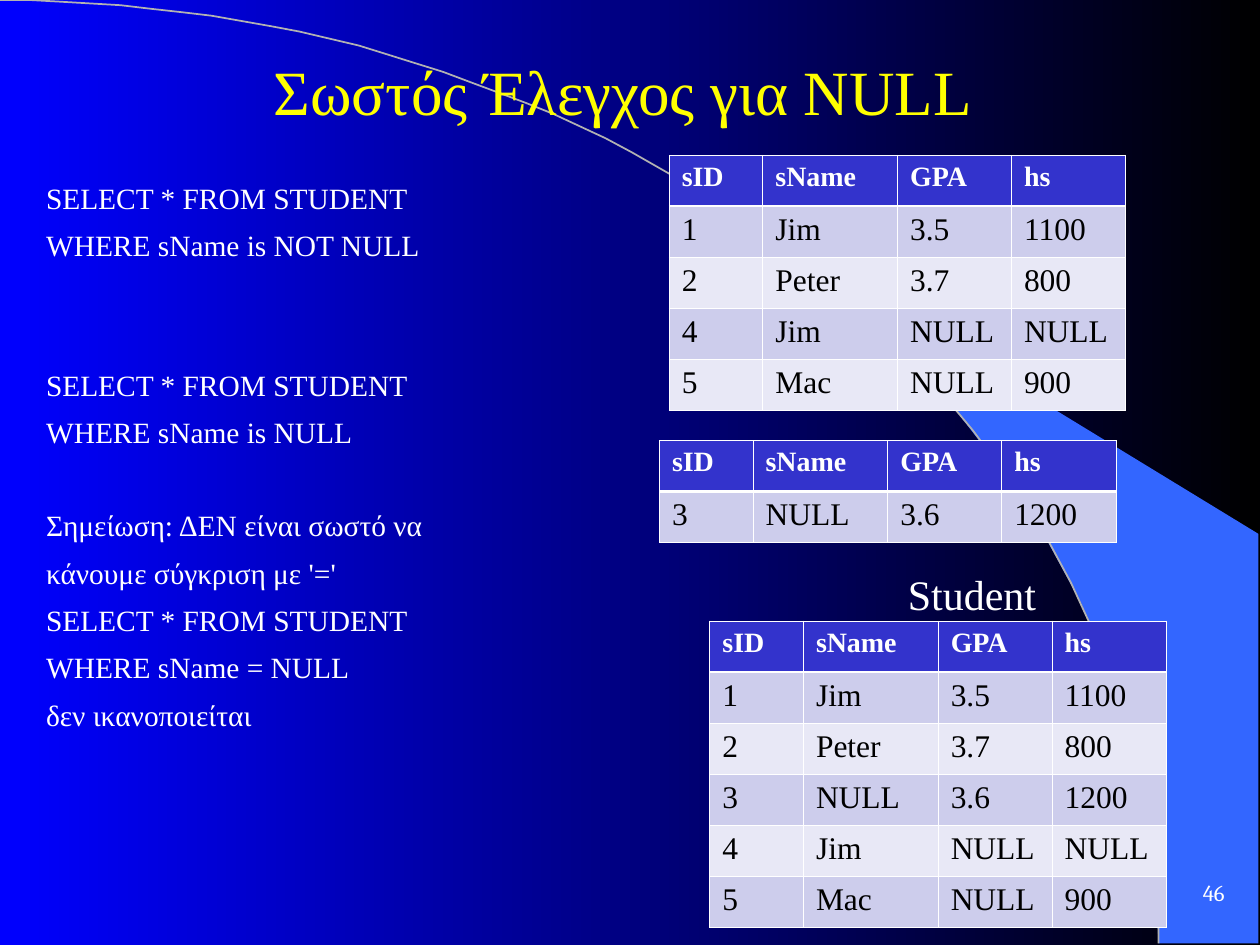
import math
from dataclasses import dataclass
from lxml import etree
from pptx import Presentation
from pptx import util as u
from pptx.dml.color import RGBColor
from pptx.enum import text
from pptx.oxml.ns import qn

# Content
TITLE = "Σωστός Έλεγχος για NULL"
PAGE = "46"
# (blank lines left above the block, its lines)
NOTES = [
    (0, ["SELECT * FROM STUDENT", "WHERE sName is NOT NULL"]),
    (2, ["SELECT * FROM STUDENT", "WHERE sName is NULL"]),
    (1, ["Σημείωση: ΔΕΝ είναι σωστό να", "κάνουμε σύγκριση με '='",
         "SELECT * FROM STUDENT", "WHERE sName = NULL", "δεν ικανοποιείται"]),
]
HEADER = ("sID", "sName", "GPA", "hs")
STUDENTS = [
    ("1", "Jim", "3.5", "1100"),
    ("2", "Peter", "3.7", "800"),
    ("3", "NULL", "3.6", "1200"),
    ("4", "Jim", "NULL", "NULL"),
    ("5", "Mac", "NULL", "900"),
]
NAMED = [row for row in STUDENTS if row[1] != "NULL"]
UNNAMED = [row for row in STUDENTS if row[1] == "NULL"]
# (left, top, rows)
TABLES = [(405.6, 354.9, STUDENTS), (382.4, 88.7, NAMED), (376.8, 251.7, UNNAMED)]


@dataclass(frozen=True)
class Theme:
    font: str = "Times New Roman"
    page_font: str = "Cambria"
    bg: tuple = ("0000FF", "000000")
    wedge: str = "3366FF"
    arc: str = "B2B2B2"
    title: str = "FFFF00"
    light: str = "FFFFFF"
    dark: str = "000000"
    header: str = "3333CC"
    bands: tuple = ("CDCDEC", "E8E8F6")
    title_size: float = 36
    label_size: float = 24
    note_size: float = 16.8
    cell_size: float = 18
    header_size: float = 16
    page_size: float = 13


T = Theme()
COLS = (53.5, 77, 65.1, 65.3)
ROW_H = 29.15
LINE_GAP, LINE_PITCH = 6.9, 26.2
ARC_W, ARC_H, ARC_STEPS = 662.4, 539.3, 60
WEDGE = [(662.4, 538.6), (719.3, 539.3), (719.3, 304.6), (424.1, 124.6),
         (449.3, 143.3), (470.2, 159.8), (493.2, 180), (515.5, 201.6),
         (548.6, 237.6), (578.2, 276.5), (599, 310.3), (617.8, 344.9),
         (632.2, 380.2), (643, 411.8), (650.2, 438.5), (657.4, 472.3),
         (660.2, 501.1)]


def rgb(value):
    return RGBColor.from_string(value)


def style(p, size, color, font=T.font, bold=False):
    p.font.size, p.font.name, p.font.bold = u.Pt(size), font, bold
    p.font.color.rgb = rgb(color)


def add_text(s, box, lines, size, color, align, font=T.font,
             anchor=text.MSO_ANCHOR.TOP):
    """lines holds (space before, wording) pairs."""
    tf = s.shapes.add_textbox(*map(u.Pt, box)).text_frame
    tf.word_wrap = True
    tf.vertical_anchor = anchor
    tf.margin_left = tf.margin_right = u.Pt(6.5)
    tf.margin_top = tf.margin_bottom = u.Pt(3.6)
    for i, (gap, line) in enumerate(lines):
        p = tf.add_paragraph() if i else tf.paragraphs[0]
        p.text, p.alignment, p.space_before = line, align, u.Pt(gap)
        style(p, size, color, font)


def add_outline(s, points, close):
    fb = s.shapes.build_freeform(*points[0], scale=u.Pt(1))
    fb.add_line_segments(points[1:], close=close)
    sp = fb.convert_to_shape()
    sp.shadow.inherit = False
    return sp


def set_borders(cell, top, bottom):
    tc_pr = cell._tc.get_or_add_tcPr()
    widths = {"lnL": 0.45, "lnR": 0.45, "lnT": top, "lnB": bottom}
    for i, (tag, width) in enumerate(widths.items()):
        ln = etree.Element(qn("a:" + tag), w=str(u.Pt(width)))
        fill = etree.SubElement(ln, qn("a:solidFill"))
        etree.SubElement(fill, qn("a:srgbClr"), val=T.light)
        tc_pr.insert(i, ln)


def add_grid(s, left, top, body):
    rows = [HEADER, *body]
    tbl = s.shapes.add_table(len(rows), len(COLS), u.Pt(left), u.Pt(top),
                             u.Pt(sum(COLS)), u.Pt(ROW_H * len(rows))).table
    for col, width in zip(tbl.columns, COLS):
        col.width = u.Pt(width)
    for r, row in enumerate(rows):
        tbl.rows[r].height = u.Pt(ROW_H)
        for c, value in enumerate(row):
            cell = tbl.cell(r, c)
            cell.text = value
            p = cell.text_frame.paragraphs[0]
            cell.fill.solid()
            if r == 0:
                style(p, T.header_size, T.light, bold=True)
                cell.fill.fore_color.rgb = rgb(T.header)
            else:
                style(p, T.cell_size, T.dark)
                cell.fill.fore_color.rgb = rgb(T.bands[(r - 1) % 2])
            set_borders(cell, 1.47 if r == 1 else 0.45, 1.47 if r == 0 else 0.45)


def main():
    prs = Presentation()
    prs.slide_width, prs.slide_height = u.Pt(720), u.Pt(540)
    s = prs.slides.add_slide(prs.slide_layouts[6])

    # Background gradient
    bg = s.background.fill
    bg.gradient()
    bg.gradient_angle = 0
    for i, (stop, color) in enumerate(zip(bg.gradient_stops, T.bg)):
        stop.position, stop.color.rgb = i, rgb(color)

    # Blue wedge and quarter-ellipse arc
    sp = add_outline(s, WEDGE, True)
    sp.fill.solid()
    sp.fill.fore_color.rgb = rgb(T.wedge)
    sp.line.fill.background()
    angles = [math.pi / 2 * i / ARC_STEPS for i in range(ARC_STEPS + 1)]
    sp = add_outline(s, [(ARC_W * math.sin(a), ARC_H * (1 - math.cos(a)))
                         for a in angles], False)
    sp.fill.background()
    sp.line.color.rgb, sp.line.width = rgb(T.arc), u.Pt(1)

    # Page number, title, queries and table label
    al, mid = text.PP_ALIGN, text.MSO_ANCHOR.MIDDLE
    add_text(s, (666, 491.8, 40.3, 36), [(0, PAGE)], T.page_size, T.light,
             al.RIGHT, T.page_font, mid)
    add_text(s, (8.6, 6.5, 694.8, 90), [(0, TITLE)], T.title_size, T.title,
             al.CENTER, anchor=mid)
    lines = [(LINE_GAP + (0 if i else blanks * LINE_PITCH), line)
             for blanks, block in NOTES for i, line in enumerate(block)]
    lines[0] = (0, lines[0][1])
    add_text(s, (19.8, 99.4, 668.9, 324), lines, T.note_size, T.light, al.LEFT)
    add_text(s, (501.8, 321.1, 107.3, 36), [(0, "Student")], T.label_size,
             T.light, al.CENTER)

    # Query results and the source table
    for left, top, body in TABLES:
        add_grid(s, left, top, body)

    prs.save("out.pptx")


if __name__ == "__main__":
    main()
